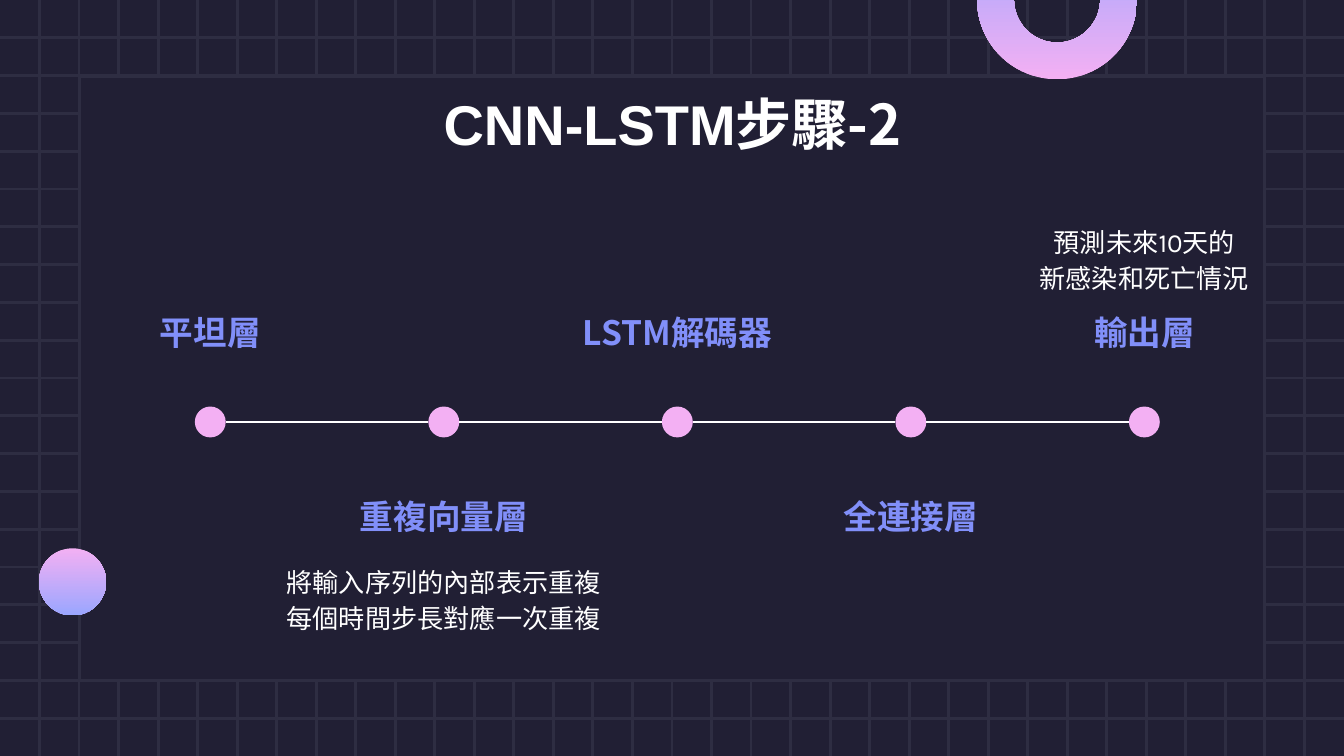
from dataclasses import dataclass

from lxml import etree
from pptx import Presentation
from pptx.dml.color import RGBColor
from pptx.enum.shapes import MSO_CONNECTOR, MSO_SHAPE
from pptx.enum.text import MSO_ANCHOR, PP_ALIGN
from pptx.oxml.ns import qn
from pptx.util import Inches, Pt

STRAIGHT = MSO_CONNECTOR.STRAIGHT
RECTANGLE, OVAL, BLOCK_ARC = MSO_SHAPE.RECTANGLE, MSO_SHAPE.OVAL, MSO_SHAPE.BLOCK_ARC
TOP, BOTTOM = MSO_ANCHOR.TOP, MSO_ANCHOR.BOTTOM
CENTER = PP_ALIGN.CENTER


@dataclass(frozen=True)
class Theme:
    background: str = "211F34"
    grid: str = "2E2D42"
    white: str = "FFFFFF"
    label: str = "818FF9"
    pink: str = "F3B0F3"
    blue: str = "9AA6FF"
    title_size: int = 30
    label_size: int = 18
    note_size: int = 14
    grid_width: float = 1.5
    timeline_width: float = 0.75
    title_font: str = "Arial"
    cjk_font: str = "Noto Sans CJK SC"
    note_font: str = "Karla"


THEME = Theme()
WIDTH = 10
HEIGHT = WIDTH * 9 / 16
COLUMNS, ROWS = 34, 20

# Timeline geometry
FIRST_DOT_LEFT, LAST_DOT_LEFT = 1.45, 8.4
TIMELINE_Y = 3.14
DOT_SIZE = 0.23
TEXT_WIDTH = 2.92
LABEL_HEIGHT, NOTE_HEIGHT = 0.5, 0.63
UPPER_LABEL_TOP, LOWER_LABEL_TOP = 2.18, 3.59
UPPER_NOTE_TOP, LOWER_NOTE_TOP = 1.55, 4.08

# Step name, lines of its note, font of the note
STEPS = [
    ("平坦層", [], None),
    ("重複向量層", ["將輸入序列的內部表示重複", "每個時間步長對應一次重複"], THEME.cjk_font),
    ("LSTM解碼器", [], None),
    ("全連接層", [], None),
    ("輸出層", ["預測未來10天的", "新感染和死亡情況"], THEME.note_font),
]


def rgb(color):
    return RGBColor.from_string(color)


def add_line(slide, start, end, color, width):
    line = slide.shapes.add_connector(STRAIGHT, *map(Inches, start + end))
    line.line.color.rgb = rgb(color)
    line.line.width = Pt(width)
    etree.SubElement(line._element.spPr, qn("a:effectLst"))


def add_shape(slide, kind, box, fill=None, outline=None):
    """Draw a preset shape; without a fill it gets the pink-to-blue gradient."""
    shape = slide.shapes.add_shape(kind, *map(Inches, box))
    shape.shadow.inherit = False
    if fill:
        shape.fill.solid()
        shape.fill.fore_color.rgb = rgb(fill)
    else:
        shape.fill.gradient()
        shape.fill.gradient_angle = 270
        for stop, color in zip(shape.fill.gradient_stops, (THEME.pink, THEME.blue)):
            stop.color.rgb = rgb(color)
    if outline:
        shape.line.color.rgb = rgb(outline)
        shape.line.width = Pt(THEME.grid_width)
    else:
        shape.line.fill.background()
    return shape


def add_text(slide, lines, box, *, size, color, bold=False, anchor=TOP, spacing=None):
    """Write centred lines, each a list of (text, font) runs."""
    frame = slide.shapes.add_textbox(*map(Inches, box)).text_frame
    frame.word_wrap = True
    frame.vertical_anchor = anchor
    frame.margin_left = frame.margin_right = Inches(0.1)
    frame.margin_top = frame.margin_bottom = Inches(0.1)
    for index, runs in enumerate(lines):
        paragraph = frame.add_paragraph() if index else frame.paragraphs[0]
        paragraph.alignment = CENTER
        paragraph.line_spacing = spacing
        for text, font in runs:
            run = paragraph.add_run()
            run.text = text
            run.font.name = font
            run.font.size = Pt(size)
            run.font.bold = bold
            run.font.color.rgb = rgb(color)
            east_asian = etree.SubElement(run._r.get_or_add_rPr(), qn("a:ea"))
            east_asian.set("typeface", THEME.cjk_font)


def add_backdrop(slide):
    slide.background.fill.solid()
    slide.background.fill.fore_color.rgb = rgb(THEME.background)
    for row in range(1, ROWS):
        y = row * HEIGHT / ROWS
        add_line(slide, (0, y), (WIDTH, y), THEME.grid, THEME.grid_width)
    for column in range(1, COLUMNS):
        x = column * WIDTH / COLUMNS
        add_line(slide, (x, 0), (x, HEIGHT), THEME.grid, THEME.grid_width)
    add_shape(slide, RECTANGLE, (0.59, 0.57, 8.82, 4.49), THEME.background, THEME.grid)


def add_decorations(slide):
    add_shape(slide, OVAL, (0.29, 4.08, 0.5, 0.5))
    ring = add_shape(slide, BLOCK_ARC, (7.27, -0.6, 1.19, 1.19))
    ring.rotation = 180
    for index, value in enumerate((108, 0.36, 0.23)):
        ring.adjustments[index] = value


def add_step(slide, dot_left, name, note, note_font, lower):
    radius = DOT_SIZE / 2
    add_shape(slide, OVAL, (dot_left, TIMELINE_Y - radius, DOT_SIZE, DOT_SIZE), THEME.pink)
    left = dot_left + radius - TEXT_WIDTH / 2
    label_top = LOWER_LABEL_TOP if lower else UPPER_LABEL_TOP
    note_top = LOWER_NOTE_TOP if lower else UPPER_NOTE_TOP
    add_text(slide, [[(name, THEME.cjk_font)]], (left, label_top, TEXT_WIDTH, LABEL_HEIGHT),
             size=THEME.label_size, color=THEME.label, bold=True,
             anchor=BOTTOM if lower else TOP, spacing=1.15)
    if note:
        add_text(slide, [[(line, note_font)] for line in note],
                 (left, note_top, TEXT_WIDTH, NOTE_HEIGHT),
                 size=THEME.note_size, color=THEME.white, spacing=1.15)


def add_timeline(slide):
    step = (LAST_DOT_LEFT - FIRST_DOT_LEFT) / (len(STEPS) - 1)
    dot_lefts = [FIRST_DOT_LEFT + index * step for index in range(len(STEPS))]
    for index, (dot_left, content) in enumerate(zip(dot_lefts, STEPS)):
        add_step(slide, dot_left, *content, lower=index % 2 == 1)
    for current, following in zip(dot_lefts, dot_lefts[1:]):
        add_line(slide, (current + DOT_SIZE, TIMELINE_Y), (following, TIMELINE_Y),
                 THEME.white, THEME.timeline_width)


def main():
    presentation = Presentation()
    presentation.slide_width = Inches(WIDTH)
    presentation.slide_height = Inches(HEIGHT)
    slide = presentation.slides.add_slide(presentation.slide_layouts[6])
    add_backdrop(slide)
    add_text(slide, [[("CNN-LSTM", THEME.title_font), ("步驟-2", THEME.cjk_font)]],
             (0.79, 0.57, 8.43, 0.63), size=THEME.title_size, color=THEME.white, bold=True)
    add_timeline(slide)
    add_decorations(slide)
    presentation.save("out.pptx")


if __name__ == "__main__":
    main()
